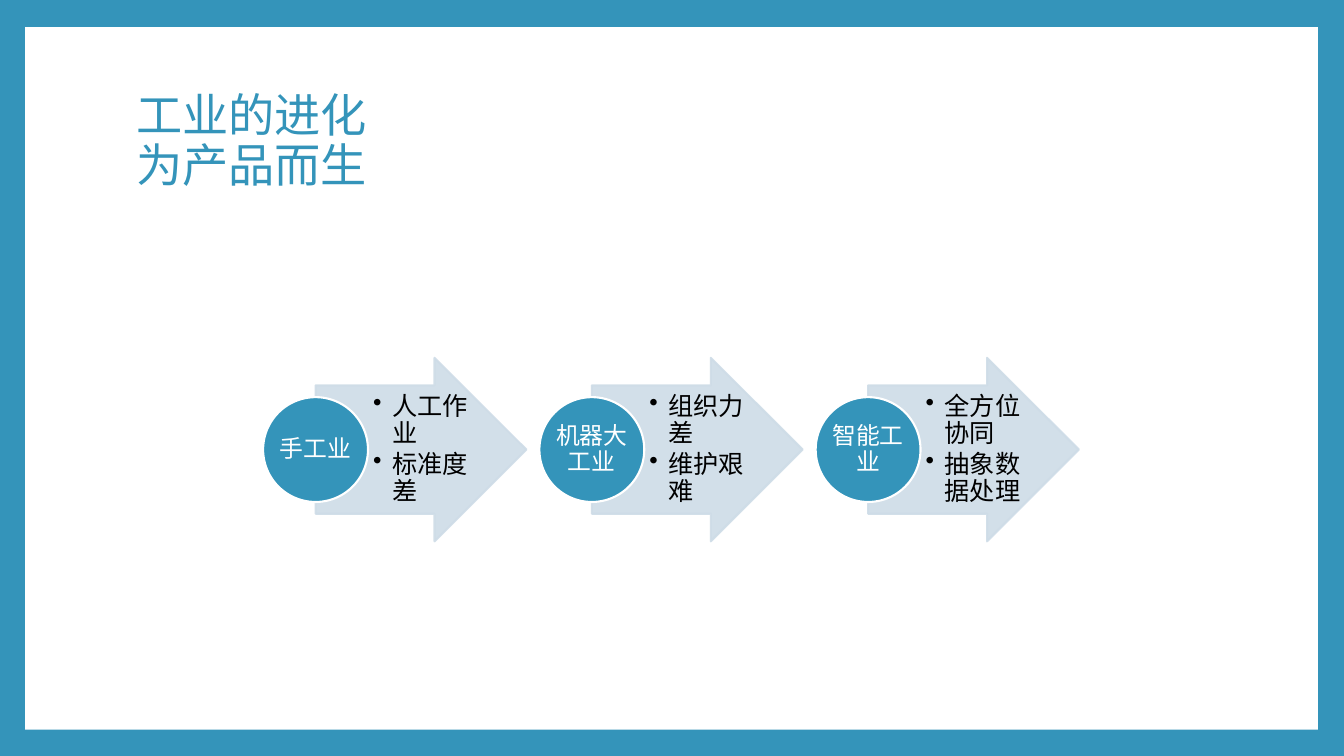
from lxml import etree
from pptx import Presentation, util as u
from pptx.dml.color import RGBColor
from pptx.enum import shapes, text
from pptx.oxml.ns import qn

BLUE, PALE, WHITE, BLACK = "3494BA", "CEDCE7", "FFFFFF", "000000"
FONT = "Arial"

# Grid of the three stages, in inches
LEFT, STEP, MID = 2.61, 2.74, 4.46
DISC = 1.04
WIDE, HIGH = 2.09, 1.82
LIST_WIDE, LIST_HIGH = 1.02, 1.28

STAGES = [
    ("手工业", ["人工作业", "标准度差"]),
    ("机器大工业", ["组织力差", "维护艰难"]),
    ("智能工业", ["全方位协同", "抽象数据处理"]),
]


def paint(part, tone):
    """Give a fill a solid colour."""
    part.solid()
    part.fore_color.rgb = RGBColor.from_string(tone)


def fade(part, share):
    """Set the opacity of every colour below an XML element."""
    for tone in part.iter(qn("a:srgbClr")):
        etree.SubElement(tone, qn("a:alpha"), val=str(share * 1000))


def add_form(home, kind, box, fill, edge=None):
    form = home.add_shape(kind, *[u.Inches(n) for n in box])
    form.shadow.inherit = False
    paint(form.fill, fill)
    if edge:
        paint(form.line.fill, edge)
        form.line.width = u.Pt(1.5)
    else:
        form.line.fill.background()
    return form


def write(form, words, size, tone, align, pads, after=0):
    """Fill a shape with text; pads are left, top, right, bottom."""
    frame = form.text_frame
    frame.text = words
    frame.word_wrap = True
    frame.vertical_anchor = text.MSO_ANCHOR.MIDDLE
    (frame.margin_left, frame.margin_top,
     frame.margin_right, frame.margin_bottom) = [u.Inches(n) for n in pads]
    for para in frame.paragraphs:
        para.alignment = align
        para.line_spacing = 0.9
        para.space_before = u.Pt(0)
        para.space_after = u.Pt(after)
        for run in para.runs:
            run.font.size = u.Pt(size)
            run.font.name = FONT
            paint(run.font.fill, tone)


def bullet(para):
    props = para._p.get_or_add_pPr()
    gap = u.Inches(0.19)
    props.set("marL", str(gap))
    props.set("indent", str(-gap))
    etree.SubElement(props, qn("a:buChar"), char="•")


def add_list(home, left, points):
    box = (left, MID - LIST_HIGH / 2, LIST_WIDE, LIST_HIGH)
    area = home.add_textbox(*[u.Inches(n) for n in box])
    write(area, "\n".join(points), 18, BLACK, text.PP_ALIGN.LEFT,
          (0.05, 0.01, 0.02, 0.01), after=2.7)
    for para in area.text_frame.paragraphs:
        bullet(para)


def add_stage(home, left, name, points):
    # Arrow with its points
    box = (left + DISC / 2, MID - HIGH / 2, WIDE, HIGH)
    arrow = add_form(home, shapes.MSO_SHAPE.RIGHT_ARROW, box, PALE, PALE)
    arrow.adjustments[0] = 0.7
    arrow.adjustments[1] = 0.5
    fade(arrow._element.spPr, 90)
    add_list(home, left + DISC, points)

    # Disc with the name
    box = (left, MID - DISC / 2, DISC, DISC)
    disc = add_form(home, shapes.MSO_SHAPE.OVAL, box, BLUE, WHITE)
    write(disc, name, 17, WHITE, text.PP_ALIGN.CENTER, (0, 0.01, 0, 0.01))


def add_title(slide, words):
    title = slide.shapes.title
    title.left, title.top = u.Inches(1.25), u.Inches(0.67)
    title.width, title.height = u.Inches(10.8), u.Inches(1.48)
    write(title, words, 33, BLUE, text.PP_ALIGN.LEFT, (0.1, 0.05, 0.1, 0.05))


def main():
    deck = Presentation()
    deck.slide_width, deck.slide_height = u.Inches(13.33), u.Inches(7.5)
    slide = deck.slides.add_slide(deck.slide_layouts[5])

    # Blue frame around a white page
    paint(slide.background.fill, BLUE)
    page = add_form(slide.shapes, shapes.MSO_SHAPE.RECTANGLE,
                    (0.25, 0.27, 12.82, 6.97), WHITE)
    slide.shapes.title._element.addprevious(page._element)

    add_title(slide, "工业的进化\v为产品而生")

    # Stages from left to right
    group = slide.shapes.add_group_shape()
    for i, (name, points) in enumerate(STAGES):
        add_stage(group.shapes, LEFT + i * STEP, name, points)

    deck.save("out.pptx")


if __name__ == "__main__":
    main()
